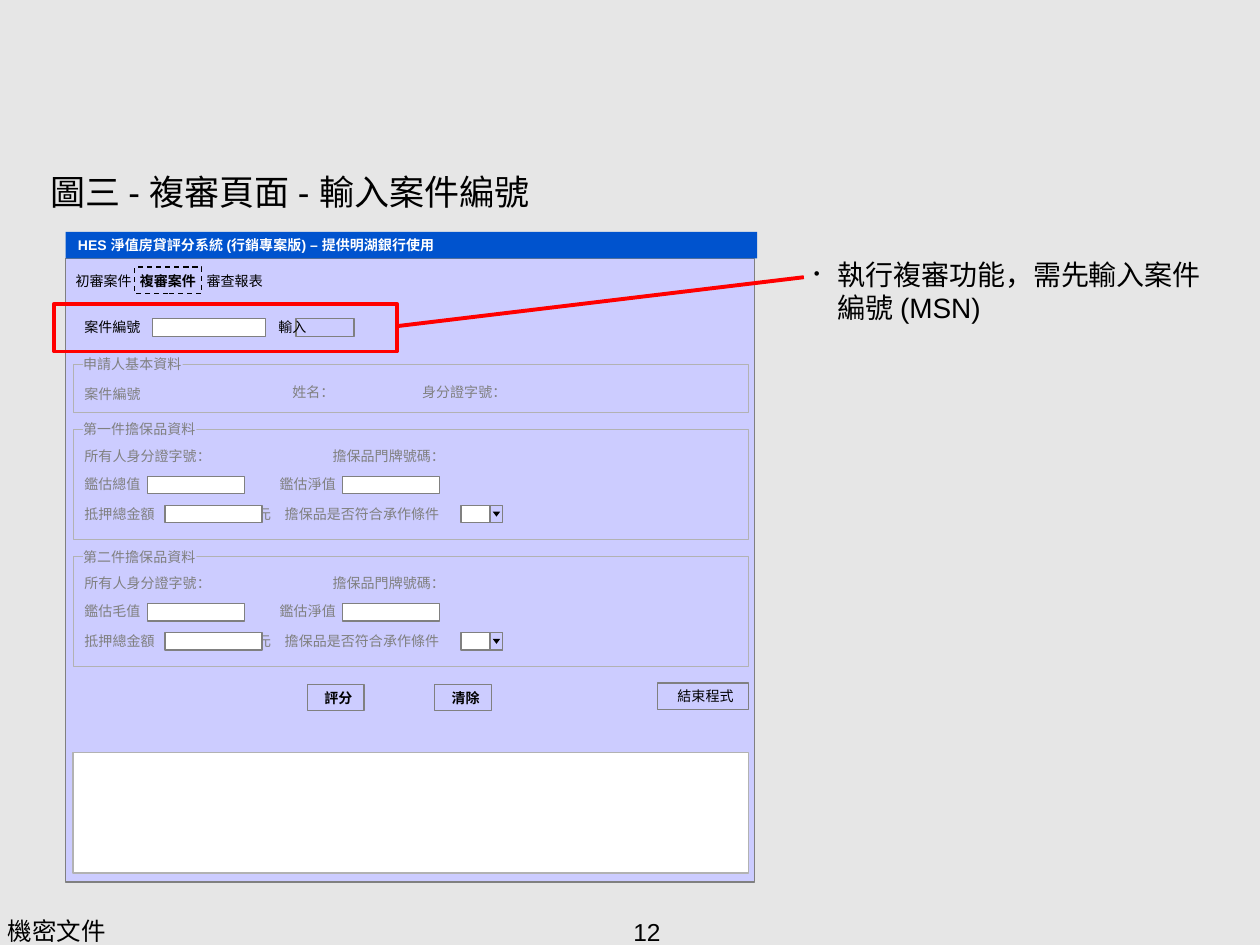
from dataclasses import dataclass

from lxml import etree
from pptx import Presentation
from pptx import util as u
from pptx.dml.color import RGBColor
from pptx.enum import dml, shapes, text
from pptx.oxml.ns import qn

BLACK, WHITE, RED, GRAY = "000000", "FFFFFF", "FF0000", "808080"
RULE, PANEL, BANNER, BACKDROP = "B2B2B2", "CCCCFF", "0053CE", "E6E6E6"
SECTION_PITCH = 1.01
ROW_HEIGHT, FIELD_HEIGHT = 0.21, 0.14
LABEL_INSETS = (0.04, 0.04, 0, 0.04)
FRAME_INSETS = (0.1, 0.05, 0.1, 0.05)


def color(value):
    return RGBColor.from_string(value)


def box(*lengths):
    return [u.Inches(length) for length in lengths]


def write(shape, words, size=8, ink=BLACK, bold=False, align=text.PP_ALIGN.LEFT,
          insets=LABEL_INSETS, font="Arial"):
    frame = shape.text_frame
    frame.word_wrap = True
    frame.auto_size = text.MSO_AUTO_SIZE.NONE
    frame.vertical_anchor = text.MSO_ANCHOR.TOP
    (frame.margin_left, frame.margin_top,
     frame.margin_right, frame.margin_bottom) = box(*insets)
    paragraph = frame.paragraphs[0]
    paragraph.alignment = align
    paragraph.space_before = u.Pt(0)
    run = paragraph.add_run()
    run.text = words
    run.font.name = font
    run.font.size = u.Pt(size)
    run.font.bold = bold
    run.font.color.rgb = color(ink)
    return paragraph


def add_bullet(paragraph, char, indent, percent):
    props = paragraph._p.get_or_add_pPr()
    props.set("marL", str(u.Inches(indent)))
    props.set("indent", str(-u.Inches(indent)))
    bullet_color = etree.SubElement(props, qn("a:buClr"))
    etree.SubElement(bullet_color, qn("a:srgbClr"), val=BLACK)
    etree.SubElement(props, qn("a:buSzPct"), val=str(percent * 1000))
    etree.SubElement(props, qn("a:buFont"), typeface="Arial")
    etree.SubElement(props, qn("a:buChar"), char=char)


@dataclass
class FormPage:
    slide: object

    def place(self, placeholder, at, words, **style):
        (placeholder.left, placeholder.top,
         placeholder.width, placeholder.height) = box(*at)
        return write(placeholder, words, insets=FRAME_INSETS, **style)

    def block(self, at, fill=None, line=None, weight=0.75, dash=None,
              preset=shapes.MSO_SHAPE.RECTANGLE):
        shape = self.slide.shapes.add_shape(preset, *box(*at))
        shape.shadow.inherit = False
        if fill:
            shape.fill.solid()
            shape.fill.fore_color.rgb = color(fill)
        else:
            shape.fill.background()
        if line:
            shape.line.color.rgb = color(line)
            shape.line.width = u.Pt(weight)
            shape.line.dash_style = dash
        else:
            shape.line.fill.background()
        return shape

    def label(self, left, top, width, words, height=ROW_HEIGHT, **style):
        area = self.slide.shapes.add_textbox(*box(left, top, width, height))
        write(area, words, **style)

    def field(self, left, top, width=0.77, fill=WHITE):
        self.block((left, top, width, FIELD_HEIGHT), fill, GRAY)

    def button(self, left, top, width, words, bold=True):
        shape = self.block((left, top, width, ROW_HEIGHT), PANEL, GRAY)
        write(shape, words, bold=bold, align=text.PP_ALIGN.CENTER)

    def dropdown(self, left, top):
        self.field(left, top, 0.33)
        self.field(left + 0.23, top, 0.1, PANEL)
        arrow = self.block((left + 0.25, top + 0.05, 0.06, 0.04), BLACK,
                           preset=shapes.MSO_SHAPE.ISOSCELES_TRIANGLE)
        arrow.rotation = 180

    def section(self, top, height, legend, legend_width):
        """Outlined group whose legend interrupts its top edge."""
        self.block((0.58, top, 5.36, height), line=RULE, weight=0.5)
        tag = self.block((0.66, top - 0.11, legend_width, ROW_HEIGHT), PANEL)
        write(tag, legend, ink=GRAY, insets=(0, 0.04, 0, 0.04))

    def collateral(self, top, legend, value_name):
        self.section(top, 0.87, legend, 0.9)
        owner, value, pledge = (top + offset for offset in (0.1, 0.32, 0.56))
        for left, row, width, words in (
            (0.63, owner, 1.79, "所有人身分證字號："),
            (2.6, owner, 1.33, "擔保品門牌號碼："),
            (0.63, value, 0.53, value_name),
            (2.18, value, 0.53, "鑑估淨值"),
            (0.63, pledge, 0.68, "抵押總金額"),
            (2.0, pledge, 0.2, "元"),
            (2.22, pledge, 1.4, "擔保品是否符合承作條件"),
        ):
            self.label(left, row, width, words, ink=GRAY)
        for left, row in ((1.17, value + 0.05), (2.72, value + 0.05),
                          (1.31, pledge + 0.04)):
            self.field(left, row)
        self.dropdown(3.66, pledge + 0.04)

    def callout_line(self, start, end):
        line = self.slide.shapes.add_connector(
            shapes.MSO_CONNECTOR.STRAIGHT, *box(*start, *end))
        line.line.color.rgb = color(RED)
        line.line.width = u.Pt(2.25)
        etree.SubElement(line._element.spPr, qn("a:effectLst"))


def main():
    deck = Presentation()
    deck.slide_width, deck.slide_height = box(10, 7.5)
    slide = deck.slides.add_slide(deck.slide_layouts[1])
    slide.background.fill.solid()
    slide.background.fill.fore_color.rgb = color(BACKDROP)
    page = FormPage(slide)

    page.place(slide.shapes.title, (0.3, 1.3, 9.29, 0.44),
               "圖三 - 複審頁面 - 輸入案件編號", size=20)
    note = page.place(slide.placeholders[1], (6.36, 1.99, 3.28, 1.17),
                      "執行複審功能，需先輸入案件編號 (MSN)", size=16)
    add_bullet(note, "•", 0.19, 60)

    # Window and tabs
    page.block((0.52, 2.05, 5.47, 4.95), PANEL, GRAY)
    banner = page.block((0.52, 1.84, 5.49, ROW_HEIGHT), BANNER)
    write(banner, "HES 淨值房貸評分系統 (行銷專案版) – 提供明湖銀行使用",
          ink=WHITE, bold=True, insets=(0.1, 0.04, 0.1, 0.05))
    page.label(0.56, 2.12, 0.52, "初審案件")
    active_tab = page.block((1.07, 2.12, 0.53, ROW_HEIGHT), line=BLACK,
                            dash=dml.MSO_LINE.DASH)
    write(active_tab, "複審案件", bold=True)
    page.label(1.6, 2.12, 0.59, "審查報表")

    # Case number entry
    page.field(1.21, 2.53, 0.9)
    page.field(2.35, 2.53, 0.46, PANEL)
    page.label(0.63, 2.49, 0.57, "案件編號")
    page.label(2.17, 2.49, 0.4, "輸入")

    # Applicant and collateral
    page.section(2.89, 0.38, "申請人基本資料", 0.79)
    page.label(0.63, 3.02, 1.49, "案件編號", ink=GRAY)
    page.label(2.28, 3, 1.0, "姓名：", ink=GRAY)
    page.label(3.31, 3, 1.42, "身分證字號：", ink=GRAY)
    for index, (legend, value_name) in enumerate(
            (("第一件擔保品資料", "鑑估總值"), ("第二件擔保品資料", "鑑估毛值"))):
        page.collateral(3.41 + index * SECTION_PITCH, legend, value_name)

    # Actions and result area
    page.button(2.44, 5.43, 0.45, "評分")
    page.button(3.45, 5.43, 0.45, "清除")
    page.button(5.22, 5.42, 0.72, "結束程式", bold=False)
    page.block((0.58, 5.97, 5.36, 0.96), WHITE, RULE)

    # Highlight and footer
    page.block((0.43, 2.41, 2.72, 0.38), line=RED, weight=2.25)
    page.callout_line((3.14, 2.59), (6.38, 2.2))
    page.label(0.06, 7.27, 2.85, "機密文件", height=0.23, size=14,
               insets=(0, 0, 0, 0))
    page.label(3.97, 7.23, 2.33, "12", height=0.27, size=14,
               align=text.PP_ALIGN.CENTER, insets=FRAME_INSETS)

    deck.save("out.pptx")


if __name__ == "__main__":
    main()
